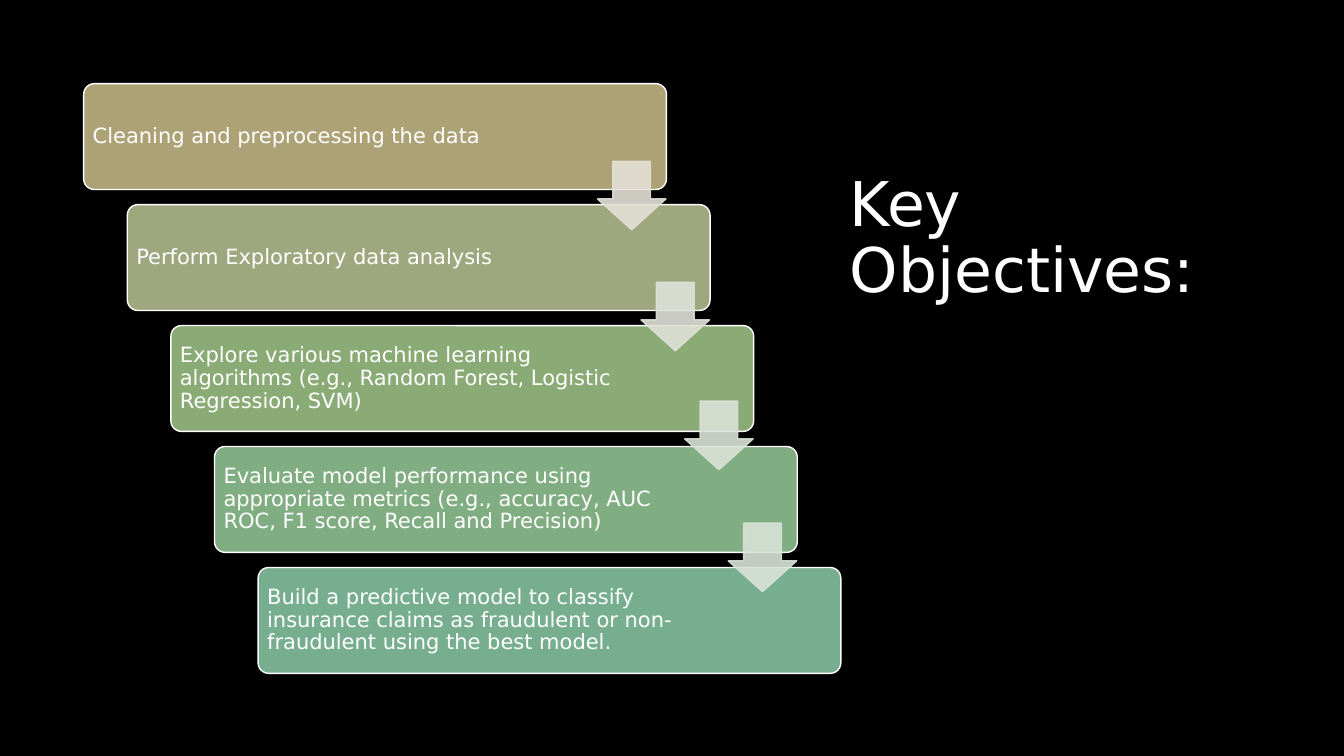
from lxml import etree
from pptx import Presentation
from pptx.dml.color import RGBColor
from pptx.enum.shapes import MSO_SHAPE as Preset
from pptx.enum.text import MSO_ANCHOR as Anchor
from pptx.oxml.ns import qn
from pptx.util import Inches, Pt

TITLE = "Key Objectives:"
# objective, box colour, arrow colour, arrow top below box top
OBJECTIVES = [
    ("Cleaning and preprocessing the data", "sand", "sand arrow", 0.77),
    ("Perform Exploratory data analysis", "olive", "olive arrow", 0.77),
    ("Explore various machine learning algorithms (e.g., Random Forest, "
     "Logistic Regression, SVM)", "leaf", "leaf arrow", 0.75),
    ("Evaluate model performance using appropriate metrics (e.g., accuracy, "
     "AUC ROC, F1 score, Recall and Precision)", "green", "green arrow", 0.76),
    ("Build a predictive model to classify insurance claims as fraudulent or "
     "non-fraudulent using the best model.", "teal", None, None),
]
COLOURS = {
    "background": "000000", "text": "FFFFFF",
    "sand": "ADA176", "olive": "9FA77F", "leaf": "8AAB75",
    "green": "81AD82", "teal": "77AE8F",
    "sand arrow": "E3E0D6", "olive arrow": "DFE1D8",
    "leaf arrow": "DAE2D6", "green arrow": "D8E3D8",
}
FONT = "DejaVu Sans"
LEFT, TOP, STEP_X, STEP_Y = 0.83, 0.83, 0.4325, 1.2
BOX_W, BOX_H = 5.78, 1.05
TEXT_W, TEXT_INSET = 4.6, 0.03
ARROW_SIZE, ARROW_X = 0.68, 5.095
TITLE_FORMAT = {"vertical_anchor": Anchor.TOP}
STEP_FORMAT = {"vertical_anchor": Anchor.MIDDLE}
STEP_FORMAT.update({f"margin_{side}": Inches(0.06)
                    for side in ("left", "top", "right", "bottom")})


def rgb(name):
    return RGBColor.from_string(COLOURS[name])


def add_preset(slide, preset, box, adjustments, fill, line, opacity=None):
    """Add a filled, outlined shape; opacity is a percentage."""
    shape = slide.shapes.add_shape(preset, *map(Inches, box))
    shape.shadow.inherit = False
    for index, value in enumerate(adjustments):
        shape.adjustments[index] = value
    shape.fill.solid()
    shape.fill.fore_color.rgb = rgb(fill)
    shape.line.color.rgb = rgb(line)
    shape.line.width = Pt(1)
    if opacity:
        for colour in shape._element.spPr.iter(qn("a:srgbClr")):
            etree.SubElement(colour, qn("a:alpha"), val=str(opacity * 1000))


def add_text(slide, text, box, size, frame_format):
    frame = slide.shapes.add_textbox(*map(Inches, box)).text_frame
    frame.word_wrap = True
    for name, value in frame_format.items():
        setattr(frame, name, value)
    paragraph = frame.paragraphs[0]
    paragraph.line_spacing = 0.9
    run = paragraph.add_run()
    run.text = text
    run.font.name = FONT
    run.font.size = Pt(size)
    run.font.color.rgb = rgb("text")


def main():
    deck = Presentation()
    deck.slide_width, deck.slide_height = Inches(13.33), Inches(7.5)
    slide = deck.slides.add_slide(deck.slide_layouts[6])
    slide.background.fill.solid()
    slide.background.fill.fore_color.rgb = rgb("background")

    add_text(slide, TITLE, (8.33, 1.67, 4.17, 4.16), 44, TITLE_FORMAT)
    for step, (objective, colour, _, _) in enumerate(OBJECTIVES):
        x, y = LEFT + step * STEP_X, TOP + step * STEP_Y
        add_preset(slide, Preset.ROUNDED_RECTANGLE, (x, y, BOX_W, BOX_H),
                   [0.1], colour, "text")
        add_text(slide, objective,
                 (x + TEXT_INSET, y + TEXT_INSET, TEXT_W, BOX_H - 2 * TEXT_INSET),
                 15, STEP_FORMAT)
    for step, (_, _, colour, drop) in enumerate(OBJECTIVES[:-1]):
        x, y = LEFT + step * STEP_X + ARROW_X, TOP + step * STEP_Y + drop
        add_preset(slide, Preset.DOWN_ARROW, (x, y, ARROW_SIZE, ARROW_SIZE),
                   [0.55, 0.45], colour, colour, opacity=90)

    deck.save("out.pptx")


if __name__ == "__main__":
    main()
